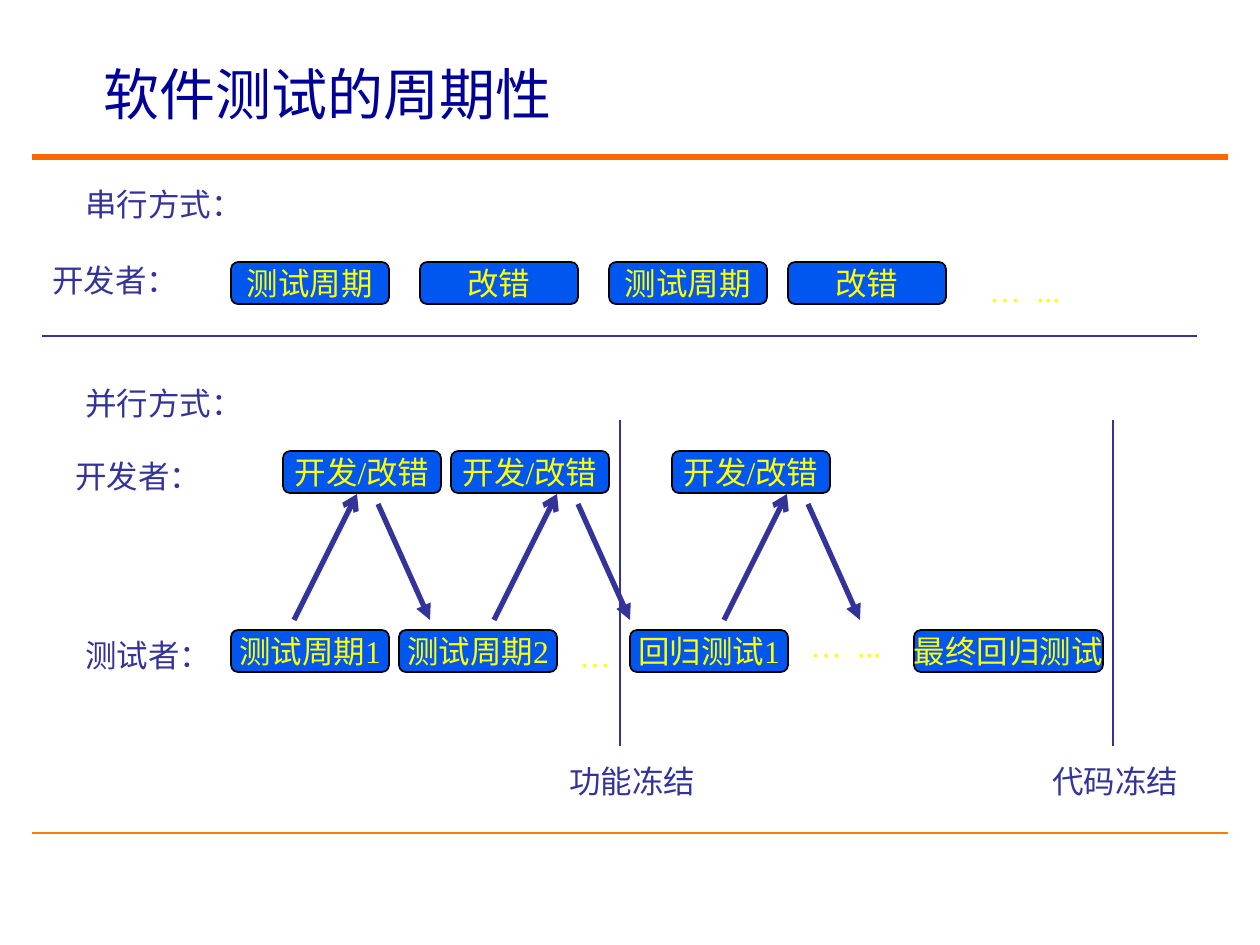
from lxml import etree
from pptx import Presentation
from pptx.dml.color import RGBColor
from pptx.enum.shapes import MSO_CONNECTOR, MSO_SHAPE
from pptx.enum.text import MSO_ANCHOR, MSO_AUTO_SIZE, PP_ALIGN
from pptx.oxml.ns import qn
from pptx.util import Emu, Pt

STRAIGHT = MSO_CONNECTOR.STRAIGHT
ROUNDED = MSO_SHAPE.ROUNDED_RECTANGLE
MIDDLE = MSO_ANCHOR.MIDDLE
TOP = MSO_ANCHOR.TOP
CENTER = PP_ALIGN.CENTER
LEFT = PP_ALIGN.LEFT
GROW = MSO_AUTO_SIZE.SHAPE_TO_FIT_TEXT
FIXED = MSO_AUTO_SIZE.NONE

PX_PER_INCH = 126
INDIGO, YELLOW = "333399", "FFFF00"
BOX_WIDTH, BOX_HEIGHT = 158, 42


def px(length):
    return Emu(round(length * 914400 / PX_PER_INCH))


def color(value):
    return RGBColor.from_string(value)


def apply(target, values):
    for name, value in values.items():
        setattr(target, name, value)


class SlideBuilder:
    body = {"name": "Times New Roman", "size": Pt(18)}
    heading = {"name": "Arial", "size": Pt(32)}

    def __init__(self, page):
        self.page = page

    def set_text(self, shape, text, ink, font, frame_format, para_format):
        frame = shape.text_frame
        apply(frame, frame_format)
        para = frame.paragraphs[0]
        apply(para, para_format)
        span = para.add_run()
        span.text = text
        apply(span.font, font)
        span.font.color.rgb = color(ink)

    def title(self, text, left, top, width, height):
        box = self.page.shapes.add_textbox(*map(px, (left, top, width, height)))
        self.set_text(box, text, "000099", self.heading,
                      {"word_wrap": True, "vertical_anchor": MIDDLE, "auto_size": FIXED},
                      {"alignment": LEFT, "line_spacing": Pt(42)})

    def label(self, text, left, top, width, ink=INDIGO):
        box = self.page.shapes.add_textbox(*map(px, (left, top, width, 50)))
        self.set_text(box, text, ink, self.body,
                      {"word_wrap": False, "vertical_anchor": TOP, "auto_size": GROW},
                      {"alignment": LEFT})

    def step(self, text, left, top, width=BOX_WIDTH):
        box = self.page.shapes.add_shape(ROUNDED, *map(px, (left, top, width, BOX_HEIGHT)))
        box.shadow.inherit = False
        box.fill.solid()
        box.fill.fore_color.rgb = color("0057F0")
        box.line.color.rgb = color("000000")
        box.line.width = Pt(1)
        self.set_text(box, text, YELLOW, self.body,
                      {"word_wrap": False, "vertical_anchor": MIDDLE},
                      {"alignment": CENTER})

    def line(self, x1, y1, x2, y2, ink=INDIGO, weight=1, head=None):
        connector = self.page.shapes.add_connector(STRAIGHT, *map(px, (x1, y1, x2, y2)))
        connector.line.color.rgb = color(ink)
        connector.line.width = Pt(weight)
        properties = connector._element.spPr
        if head:
            outline = properties.find(qn("a:ln"))
            etree.SubElement(outline, qn("a:tailEnd"), type=head)
        etree.SubElement(properties, qn("a:effectLst"))


def main():
    deck = Presentation()
    deck.slide_width, deck.slide_height = px(1260), px(945)
    slide = SlideBuilder(deck.slides.add_slide(deck.slide_layouts[6]))

    slide.line(32, 833, 1228, 833, "FF7D00")
    slide.line(32, 157, 1228, 157, "FF6600", 3)
    slide.title("软件测试的周期性", 91, 32, 1112, 116)

    steps = {
        262: [("测试周期", 231), ("改错", 420), ("测试周期", 609), ("改错", 788)],
        451: [("开发/改错", 283), ("开发/改错", 451), ("开发/改错", 672)],
        630: [("测试周期1", 231), ("测试周期2", 399), ("回归测试1", 630)],
    }
    for top, row in steps.items():
        for text, left in row:
            slide.step(text, left, top)
    slide.step("最终回归测试", 914, 630, 189)

    for text, left, top, width in [
        ("串行方式：", 73, 179, 183),
        ("开发者：", 40, 255, 151),
        ("并行方式：", 73, 378, 183),
        ("开发者：", 63, 451, 151),
        ("测试者：", 73, 630, 151),
        ("功能冻结", 557, 756, 151),
        ("代码冻结", 1040, 756, 151),
    ]:
        slide.label(text, left, top, width)

    for text, left, top, width in [
        ("…  ...", 977, 265, 96),
        ("…", 567, 630, 57),
        ("…  ...", 798, 620, 96),
    ]:
        slide.label(text, left, top, width, YELLOW)

    for start in (294, 494, 724):
        slide.line(start, 620, start + 63, 494, weight=3, head="arrow")
        slide.line(start + 84, 504, start + 136, 620, weight=3, head="triangle")

    for freeze in (620, 1113):
        slide.line(freeze, 420, freeze, 746)
    slide.line(42, 336, 1197, 336)

    deck.save("out.pptx")


if __name__ == "__main__":
    main()
